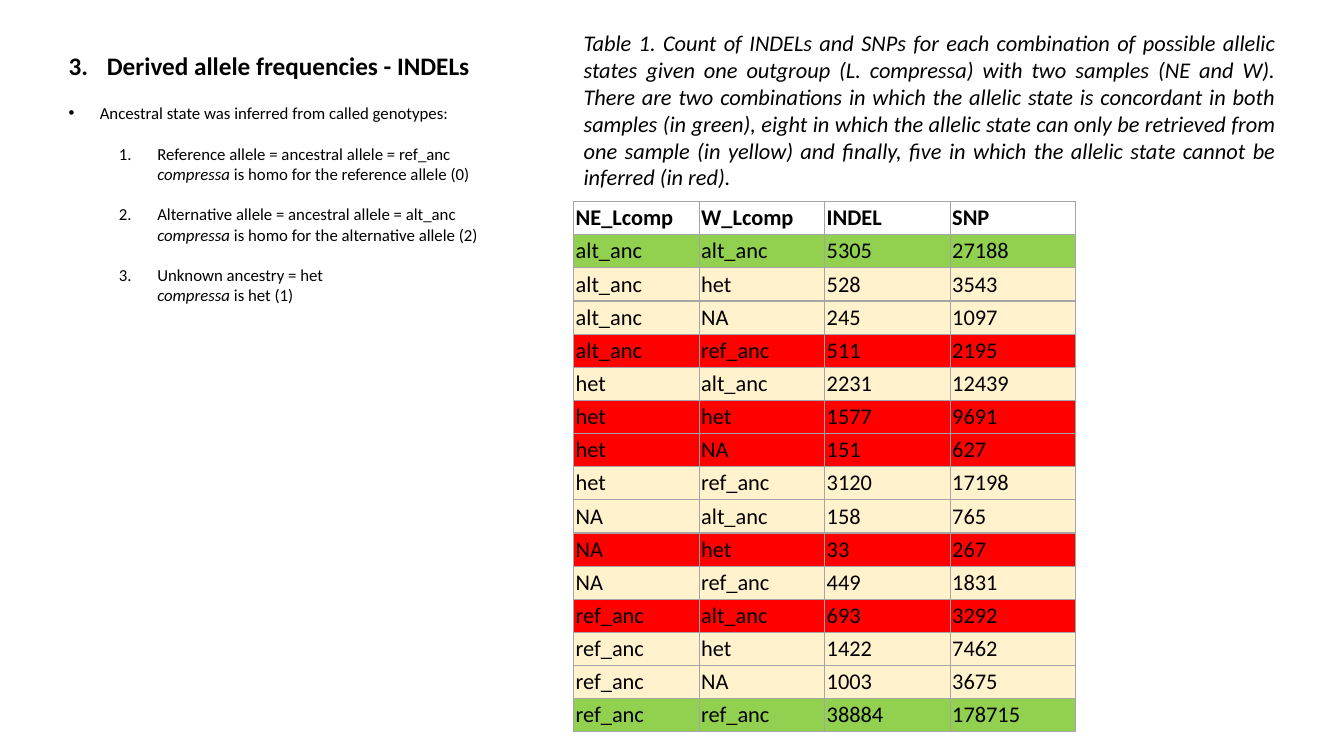
from dataclasses import dataclass

from lxml.etree import SubElement
from pptx import Presentation
from pptx.dml.color import RGBColor
from pptx.enum.text import MSO_ANCHOR, MSO_AUTO_SIZE, PP_ALIGN
from pptx.oxml.ns import qn
from pptx.util import Inches, Pt


@dataclass(frozen=True)
class Theme:
    """Colours and type sizes of the slide."""
    font: str = "Calibri"
    ink: str = "000000"
    paper: str = "FFFFFF"
    rule: str = "A5A5A5"
    green: str = "92D050"
    yellow: str = "FFF2CC"
    red: str = "FF0000"
    head: int = 18
    body: int = 12
    table: int = 16
    gap: float = 14.6


TITLE = "Derived allele frequencies - INDELs"
LEAD = "Ancestral state was inferred from called genotypes:"
STATES = [
    ("Reference allele = ancestral allele = ref_anc", " is homo for the reference allele (0)"),
    ("Alternative allele = ancestral allele = alt_anc", " is homo for the alternative allele (2)"),
    ("Unknown ancestry = het", " is het (1)"),
]
CAPTION = (
    "Table 1. Count of INDELs and SNPs for each combination of possible allelic states "
    "given one outgroup (L. compressa) with two samples (NE and W). There are two "
    "combinations in which the allelic state is concordant in both samples (in green), "
    "eight in which the allelic state can only be retrieved from one sample (in yellow) "
    "and finally, five in which the allelic state cannot be inferred (in red)."
)
HEADER = ("NE_Lcomp", "W_Lcomp", "INDEL", "SNP")
COUNTS = [
    ("alt_anc", "alt_anc", 5305, 27188),
    ("alt_anc", "het", 528, 3543),
    ("alt_anc", "NA", 245, 1097),
    ("alt_anc", "ref_anc", 511, 2195),
    ("het", "alt_anc", 2231, 12439),
    ("het", "het", 1577, 9691),
    ("het", "NA", 151, 627),
    ("het", "ref_anc", 3120, 17198),
    ("NA", "alt_anc", 158, 765),
    ("NA", "het", 33, 267),
    ("NA", "ref_anc", 449, 1831),
    ("ref_anc", "alt_anc", 693, 3292),
    ("ref_anc", "het", 1422, 7462),
    ("ref_anc", "NA", 1003, 3675),
    ("ref_anc", "ref_anc", 38884, 178715),
]


def write(para, text, *, theme, size, bold=False, italic=False):
    """Add a formatted run to a paragraph."""
    run = para.add_run()
    run.text = text
    font = run.font
    font.name, font.size = theme.font, Pt(size)
    font.bold, font.italic = bold, italic
    font.color.rgb = RGBColor.from_string(theme.ink)


def mark(para, left, hang, start=None):
    """Give a paragraph a hanging bullet, or a number counted from start."""
    props = para._p.get_or_add_pPr()
    props.set("marL", str(Inches(left)))
    props.set("indent", str(-Inches(hang)))
    SubElement(props, qn("a:buFont"), typeface="Calibri" if start else "Arial")
    if start:
        SubElement(props, qn("a:buAutoNum"), type="arabicPeriod", startAt=str(start))
    else:
        SubElement(props, qn("a:buChar"), char="•")


def shade(first, second, theme):
    """Choose a row colour from how many samples tell the ancestral state."""
    known = {"alt_anc", "ref_anc"}
    if (first in known) != (second in known):
        return theme.yellow
    return theme.green if first in known and first == second else theme.red


class Deck:
    """Hold the theme and the current slide."""

    def __init__(self, theme):
        """Open a widescreen deck with one slide."""
        self.theme = theme
        self.file = Presentation()
        self.file.slide_width, self.file.slide_height = Inches(13.33), Inches(7.5)
        self.slide = self.file.slides.add_slide(self.file.slide_layouts[1])

    def place(self, shape, box, wrap=True):
        """Move a text shape into its box and return its frame."""
        shape.left, shape.top, shape.width, shape.height = map(Inches, box)
        frame = shape.text_frame
        frame.word_wrap = wrap
        frame.auto_size = MSO_AUTO_SIZE.SHAPE_TO_FIT_TEXT
        frame.vertical_anchor = MSO_ANCHOR.TOP
        return frame

    def title(self, text, box, start):
        """Fill the title as a numbered heading."""
        para = self.place(self.slide.shapes.title, box, wrap=False).paragraphs[0]
        para.alignment = PP_ALIGN.LEFT
        mark(para, 0.38, 0.38, start)
        write(para, text, theme=self.theme, size=self.theme.head, bold=True)

    def list(self, lead, states, box):
        """Fill the body with a lead bullet and numbered states."""
        look = {"theme": self.theme, "size": self.theme.body}
        frame = self.place(self.slide.placeholders[1], box)
        para = frame.paragraphs[0]
        para.space_before, para.space_after = Pt(0), Pt(self.theme.gap)
        mark(para, 0.31, 0.31)
        write(para, lead, **look)
        for rule, sense in states:
            para = frame.add_paragraph()
            para.level = 1
            para.space_before = Pt(0)
            para.space_after = Pt(self.theme.gap)
            mark(para, 0.88, 0.38, 1)
            write(para, rule, **look)
            para.add_line_break()
            write(para, "compressa", italic=True, **look)
            write(para, sense, **look)

    def caption(self, text, box):
        """Add a justified italic caption."""
        para = self.place(self.slide.shapes.add_textbox(0, 0, 0, 0), box).paragraphs[0]
        para.alignment = PP_ALIGN.JUSTIFY
        write(para, text, theme=self.theme, size=self.theme.table, italic=True)

    def table(self, header, rows, box):
        """Add the table with rows coloured by concordance."""
        grid = self.slide.shapes.add_table(len(rows) + 1, len(header), *map(Inches, box)).table
        grid.first_row = grid.horz_banding = False
        for r, row in enumerate([header, *rows]):
            fill = shade(*row[:2], self.theme) if r else self.theme.paper
            for c, value in enumerate(row):
                self.cell(grid.cell(r, c), str(value), fill, bold=r == 0)

    def cell(self, cell, text, fill, bold):
        """Format one bordered cell."""
        cell.margin_left = cell.margin_right = Inches(0.02)
        cell.margin_top = cell.margin_bottom = Inches(0.02)
        cell.vertical_anchor = MSO_ANCHOR.MIDDLE
        for side in ("lnL", "lnR", "lnT", "lnB"):
            line = SubElement(cell._tc.get_or_add_tcPr(), qn(f"a:{side}"), w=str(Pt(1)))
            SubElement(SubElement(line, qn("a:solidFill")), qn("a:srgbClr"), val=self.theme.rule)
        cell.fill.solid()
        cell.fill.fore_color.rgb = RGBColor.from_string(fill)
        write(cell.text_frame.paragraphs[0], text, theme=self.theme, size=self.theme.table, bold=bold)


def main():
    """Build and save the slide."""
    deck = Deck(Theme())
    deck.title(TITLE, (0.58, 0.45, 4.2, 0.4), start=3)
    deck.list(LEAD, STATES, (0.58, 0.97, 4.35, 2.12))
    deck.caption(CAPTION, (5.69, 0.24, 7.06, 1.72))
    deck.table(HEADER, COUNTS, (5.69, 2, 4.98, 5.26))
    deck.file.save("out.pptx")


if __name__ == "__main__":
    main()
